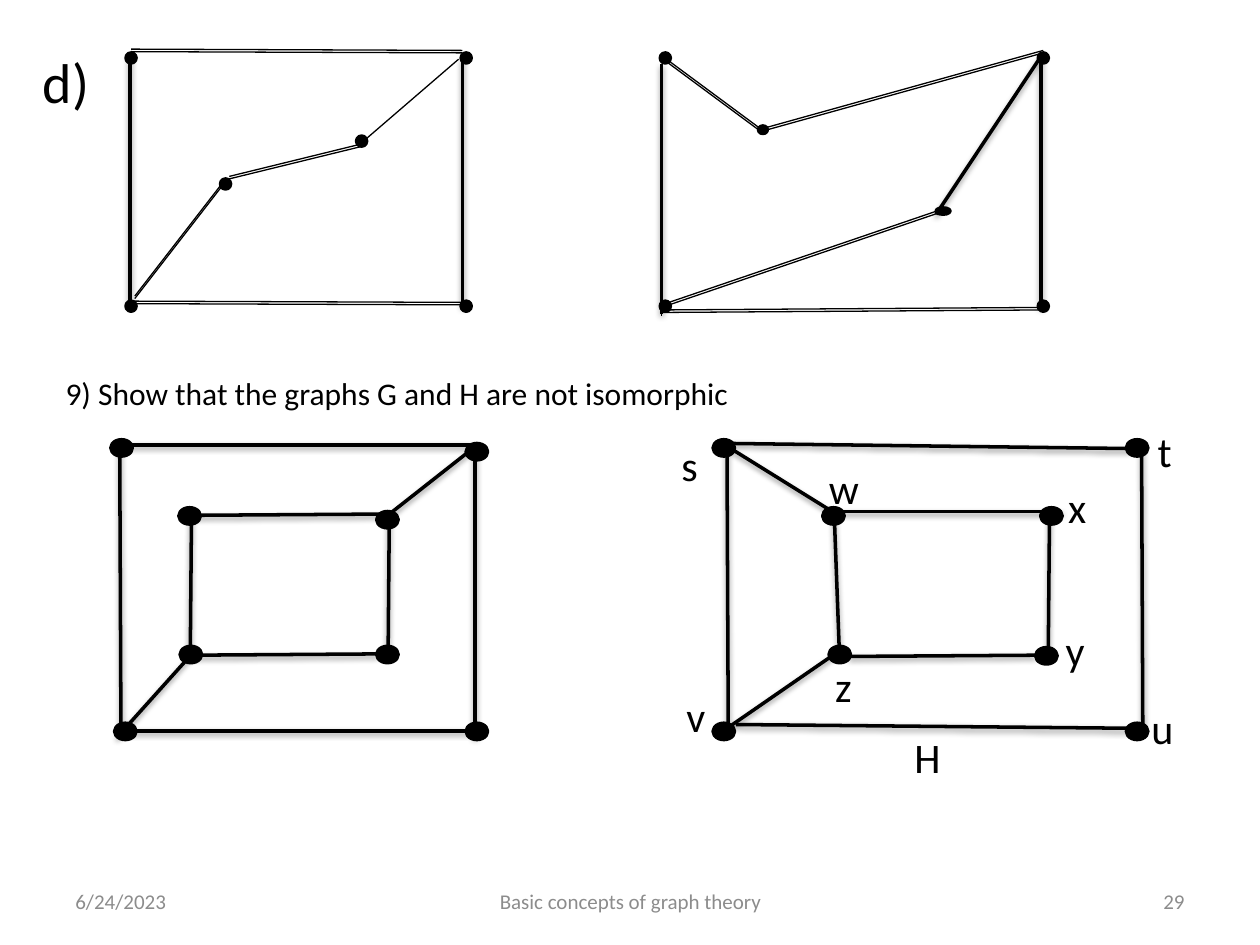
import dataclasses
import pptx
import pptx.dml.color
import pptx.enum.shapes
import pptx.enum.text
import pptx.oxml.ns
import pptx.util
from lxml import etree

Align = pptx.enum.text.PP_ALIGN
Hold = pptx.enum.text.MSO_ANCHOR
Kind = pptx.enum.shapes.MSO_SHAPE


@dataclasses.dataclass(frozen=True)
class Theme:
    """Colours, type sizes and line widths."""
    font: str = "Calibri"
    ink: str = "000000"
    grey: str = "8C8C8C"
    small: int = 12
    body: int = 18
    label: int = 24
    head: int = 32
    thin: float = 0.75
    thick: float = 2


THEME = Theme()
COLS, ROWS = 100, 75
WIDE, HIGH = pptx.util.Inches(10), pptx.util.Inches(7.5)


def place(box, *spot):
    """Turn x, y pairs in grid units from the box corner into slide lengths."""
    return [round((box[0] + n) * WIDE / COLS) if i % 2 == 0
            else round((box[1] + n) * HIGH / ROWS) for i, n in enumerate(spot)]


def tint(text):
    """Make a colour from its hex text."""
    return pptx.dml.color.RGBColor.from_string(text)


def write(shape, text, size, hue=THEME.ink, align=Align.LEFT, hold=Hold.TOP, wrap=True):
    """Put one styled run in a shape."""
    frame = shape.text_frame
    frame.word_wrap = wrap
    frame.auto_size = pptx.enum.text.MSO_AUTO_SIZE.NONE
    frame.vertical_anchor = hold
    par = frame.paragraphs[0]
    par.alignment = align
    run = par.add_run()
    run.text = text
    run.font.name = THEME.font
    run.font.size = pptx.util.Pt(size)
    run.font.color.rgb = tint(hue)


def label(slide, box, text, size, **style):
    """Add a text box that fills the given box."""
    left, top = place(box, 0, 0)
    width, height = place((0, 0), box[2], box[3])
    write(slide.shapes.add_textbox(left, top, width, height), text, size, **style)


def title(slide, box, text):
    """Place the question in the title placeholder."""
    shape = slide.shapes.title
    shape.left, shape.top = place(box, 0, 0)
    shape.width, shape.height = place((0, 0), box[2], box[3])
    write(shape, text, THEME.body, wrap=False)


def footer(slide, box, parts):
    """Place date, topic and page number along the foot."""
    for text, col, width, align in parts:
        label(slide, (box[0] + col, box[1], width, box[3]), text, THEME.small,
              hue=THEME.grey, align=align, hold=Hold.MIDDLE)


def dot(slide, box, spot, size, kind):
    """Add one vertex by its corner and size."""
    width, height = place((0, 0), *size)
    shape = slide.shapes.add_shape(kind, *place(box, *spot), width, height)
    shape.shadow.inherit = False
    shape.fill.solid()
    shape.fill.fore_color.rgb = tint(THEME.ink)
    shape.line.color.rgb = tint(THEME.ink)
    shape.line.width = pptx.util.Pt(THEME.thick)


def edge(slide, box, ends, width):
    """Add one edge; a thick one casts a soft shadow."""
    line = slide.shapes.add_connector(pptx.enum.shapes.MSO_CONNECTOR.STRAIGHT,
                                      *place(box, *ends))
    line.line.color.rgb = tint(THEME.ink)
    line.line.width = pptx.util.Pt(width)
    name = pptx.oxml.ns.qn
    fx = etree.SubElement(line._element.spPr, name("a:effectLst"))
    if width == THEME.thick:
        cast = etree.SubElement(fx, name("a:outerShdw"), blurRad="40000", dist="20000",
                                dir="5400000", rotWithShape="0")
        hue = etree.SubElement(cast, name("a:srgbClr"), val=THEME.ink)
        etree.SubElement(hue, name("a:alpha"), val="38000")


def graph(slide, box, dots, size, kind, thin=(), thick=(), twin=False):
    """Draw a graph in its box, with thin twins under its edges if asked."""
    for spot in dots:
        dot(slide, box, spot[:2], spot[2:] or size, kind)
    if twin:
        under = (box[0], box[1] + 0.2)
        for ends in (*thin, *thick):
            edge(slide, under, ends, THEME.thin)
    for group, width in ((thin, THEME.thin), (thick, THEME.thick)):
        for ends in group:
            edge(slide, box, ends, width)


def pair(slide, box):
    """Draw the two graphs of part d with its letter."""
    left, right = (box[0] + 7.6, box[1] + 0.7), (box[0] + 50, box[1] + 0.7)
    label(slide, (box[0], box[1], 5.9, 6.4), "d)", THEME.head)
    graph(slide, left,
          [(0, 0.2), (26.6, 0.2), (0, 19.9), (26.6, 19.9), (18.3, 6.8), (7.5, 10.2)],
          (0.8, 0.8), Kind.OVAL,
          [(0.3, 19.9, 27.4, 20), (0.4, -0.1, 26.7, 0), (7.6, 10.6, 0.7, 19.5),
           (18.8, 7.4, 8.2, 10)],
          [(26.7, 0.6, 26.7, 20.3), (0.3, 0.4, 0.3, 20.2)], True)
    edge(slide, left, (26.4, 0.7, 18.5, 7.5), THEME.thin)
    graph(slide, right,
          [(0, 0.2), (30, 0.2), (0, 19.9), (30, 19.9), (7.8, 6, 0.7, 0.6),
           (21.9, 12.5, 1.1, 0.5)],
          (0.8, 0.8), Kind.OVAL,
          [(8.5, 6.1, 30.4, 0), (0.1, 20.6, 30.5, 20.4), (0.4, 20.1, 22.1, 12.7),
           (7.8, 6.1, 0.5, 0.7)],
          [(0.1, 1.1, 0.1, 20.9), (30.2, 0.7, 30.2, 20.4)], True)
    edge(slide, right, (30.4, 0.2, 21.9, 13), THEME.thick)


def plain(slide, box):
    """Draw graph G."""
    graph(slide, box,
          [(0, 0), (28.2, 0.3), (0.3, 22.5), (28.2, 22.5),
           (5.4, 5.4), (21.1, 5.7), (5.5, 16.4), (21.1, 16.4)],
          (1.7, 1.3), Kind.FLOWCHART_CONNECTOR, thick=[
              (1.2, 0.4, 28.9, 0.4), (0.9, 23.1, 28.6, 23.1),
              (0.7, 0.4, 0.8, 22.9), (28.9, 1.1, 28.9, 23.6),
              (21.4, 5.9, 6.6, 6), (21.1, 17, 6.3, 17.1),
              (6.3, 17.3, 6.4, 6.2), (22, 17.3, 22.1, 6.1),
              (0.5, 23.6, 6.7, 16.7), (21.6, 6.3, 29.1, 0.4)])


def named(slide, box):
    """Draw graph H with its vertex names."""
    graph(slide, box,
          [(0, 0), (32.8, 0), (0, 22.5), (32.8, 22.5),
           (8.7, 5.4), (26, 5.4), (9.2, 16.4), (25.6, 16.5)],
          (1.7, 1.3), Kind.FLOWCHART_CONNECTOR, thick=[
              (1.6, 0.3, 33, 0.7), (1.8, 22.6, 33.2, 22.9),
              (1.1, 0.7, 1.2, 23.2), (34, 0.1, 34.1, 22.6),
              (27.7, 5.7, 10.2, 5.7), (25.6, 17.1, 10.8, 17.2),
              (10, 16.4, 9.6, 5.6), (26.6, 16.7, 26.7, 5.6),
              (10.1, 6.1, 1.4, 0.7), (1.4, 22.7, 9.8, 16.9)])
    for text, col, row in (("H", 15, 22.7), ("z", 8.7, 17), ("w", 8.2, 1.3),
                           ("y", 27, 14.2), ("x", 27.2, 2.8), ("u", 33.8, 20.4),
                           ("v", -3.1, 19.4), ("t", 34.3, -1.6), ("s", -3.5, -0.5)):
        label(slide, (box[0] + col, box[1] + row, 4.3, 5), text, THEME.label)


def main():
    """Build the slide and save it."""
    deck = pptx.Presentation()
    deck.slide_width, deck.slide_height = WIDE, HIGH
    slide = deck.slides.add_slide(deck.slide_layouts[5])
    footer(slide, (5, 69.5, 90, 4), (
        ("6/24/2023", 0, 23.3, Align.LEFT),
        ("Basic concepts of graph theory", 29.2, 31.7, Align.CENTER),
        ("29", 66.7, 23.3, Align.RIGHT)))
    pair(slide, (2.4, 3.3))
    title(slide, (4.2, 29.2, 55.3, 4), "9) Show that the graphs G and H are not isomorphic")
    plain(slide, (8.8, 34.9))
    named(slide, (56.6, 34.9))
    deck.save("out.pptx")


if __name__ == "__main__":
    main()
